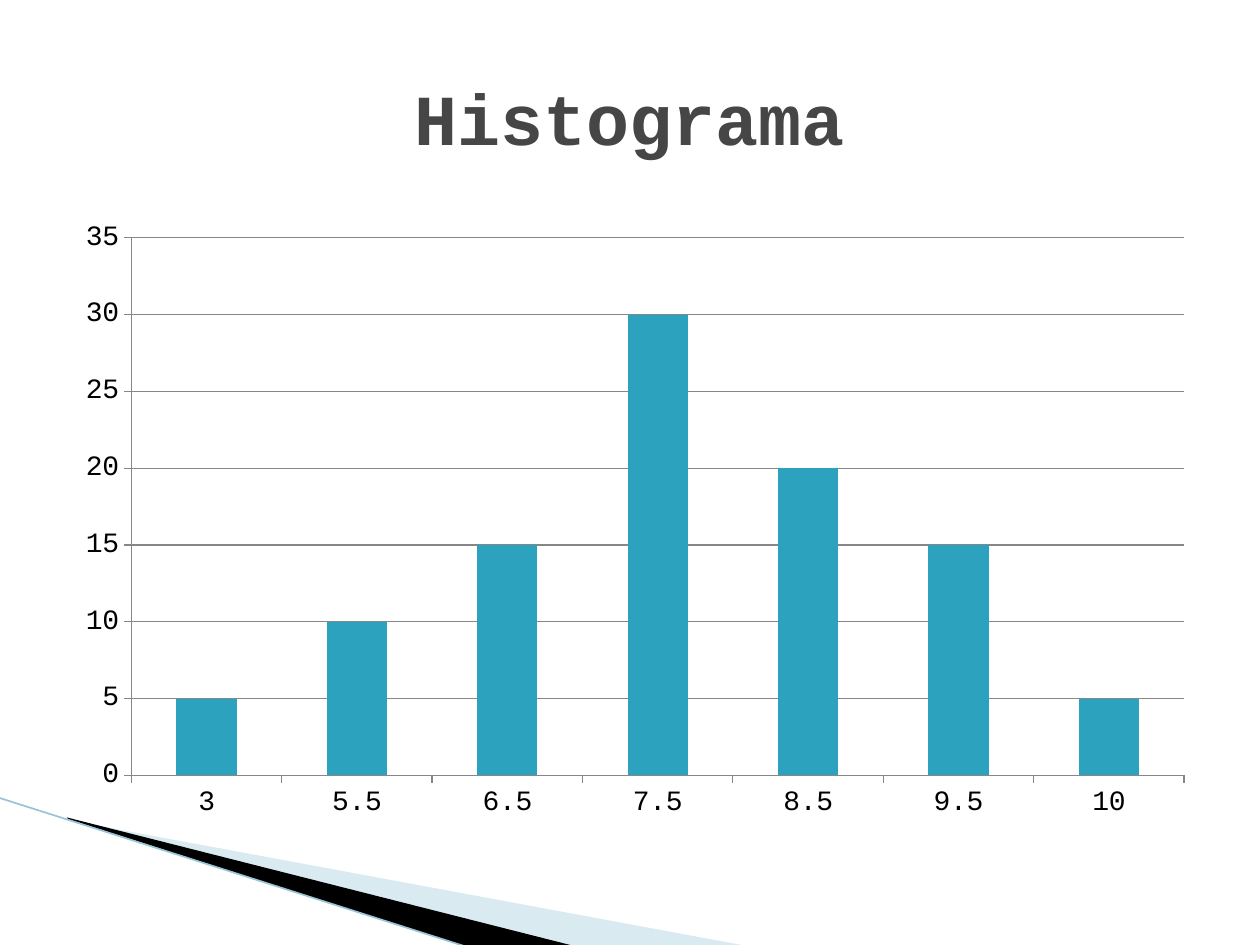
from lxml import etree
from pptx import Presentation
from pptx.chart.data import CategoryChartData
from pptx.dml.color import RGBColor
from pptx.enum.chart import XL_CHART_TYPE, XL_TICK_MARK
from pptx.enum.shapes import MSO_CONNECTOR
from pptx.enum.text import MSO_ANCHOR, PP_ALIGN
from pptx.oxml.ns import qn
from pptx.util import Cm, Pt

COLUMN = XL_CHART_TYPE.COLUMN_CLUSTERED
OUT = XL_TICK_MARK.OUTSIDE
STRAIGHT = MSO_CONNECTOR.STRAIGHT
MIDDLE = MSO_ANCHOR.MIDDLE
CENTER = PP_ALIGN.CENTER

FONT = "Courier New"
HEX = {"title": "464646", "text": "000000", "bar": "2DA2BF", "axis": "878787",
       "pale": "A0CBDC", "dark": "000000", "edge": "97C5D8"}
RGB = {name: RGBColor.from_string(code) for name, code in HEX.items()}

deck = Presentation()
deck.slide_width, deck.slide_height = Cm(25.4), Cm(19.05)
slide = deck.slides.add_slide(deck.slide_layouts[6])
shapes = slide.shapes

# Corner wedges: colour, opacity in percent, corner points in cm
wedges = [
    ("pale", 40, [(1.4, 16.54), (15.11, 19.08), (11.58, 19.08), (1.4, 16.51)]),
    ("dark", 100, [(1.35, 16.48), (11.61, 19.08), (9.45, 19.1), (1.37, 16.51)]),
]
for name, alpha, points in wedges:
    start, *rest = [(Cm(x), Cm(y)) for x, y in points]
    pen = shapes.build_freeform(*start)
    pen.add_line_segments(rest, close=True)
    wedge = pen.convert_to_shape()
    wedge.shadow.inherit = False
    wedge.fill.solid()
    wedge.fill.fore_color.rgb = RGB[name]
    wedge.line.fill.background()
    if alpha < 100:
        color = wedge.fill._xPr.find(qn("a:solidFill"))[0]
        etree.SubElement(color, qn("a:alpha"), val=str(alpha * 1000))

edge = shapes.add_connector(STRAIGHT, Cm(-0.03), Cm(16.08), Cm(9.45), Cm(19.1))
edge.line.color.rgb = RGB["edge"]
edge.line.width = Pt(0.95)
etree.SubElement(edge._element.spPr, qn("a:effectLst"))

# Title
box = shapes.add_textbox(Cm(1.27), Cm(0.76), Cm(22.86), Cm(3.18))
frame = box.text_frame
frame.word_wrap = True
frame.vertical_anchor = MIDDLE
frame.text = "Histograma"
para = frame.paragraphs[0]
para.alignment = CENTER
font = para.runs[0].font
font.name, font.size, font.bold = FONT, Pt(41), True
font.color.rgb = RGB["title"]

# Histogram
data = CategoryChartData()
data.categories = ["3", "5.5", "6.5", "7.5", "8.5", "9.5", "10"]
data.add_series("Series 1", [5, 10, 15, 30, 20, 15, 5])
chart = shapes.add_chart(COLUMN, Cm(1.27), Cm(4.24), Cm(23.06), Cm(12.5), data).chart
chart.has_legend = False
chart.has_title = False
chart.font.name, chart.font.size = FONT, Pt(10)
chart.font.color.rgb = RGB["text"]

plot = chart.plots[0]
plot.gap_width = 150
plot.vary_by_categories = False
bars = plot.series[0].format.fill
bars.solid()
bars.fore_color.rgb = RGB["bar"]

values = chart.value_axis
values.minimum_scale, values.maximum_scale, values.major_unit = 0, 35, 5
values.has_major_gridlines = True
for axis in (chart.category_axis, values):
    axis.major_tick_mark = OUT
    label = axis.tick_labels.font
    label.name, label.size = FONT, Pt(16)
    label.color.rgb = RGB["text"]
for part in (chart.category_axis, values, values.major_gridlines):
    part.format.line.color.rgb = RGB["axis"]
    part.format.line.width = Pt(0.75)

deck.save("out.pptx")
